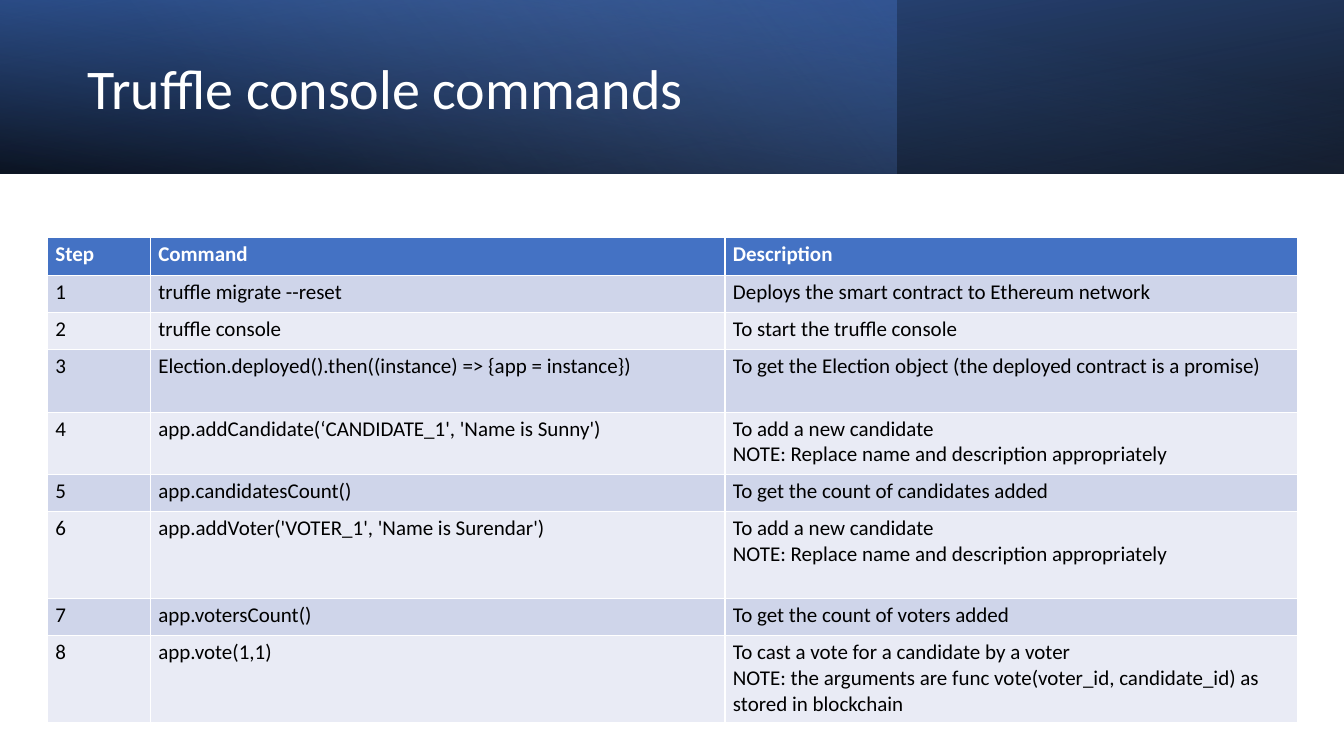
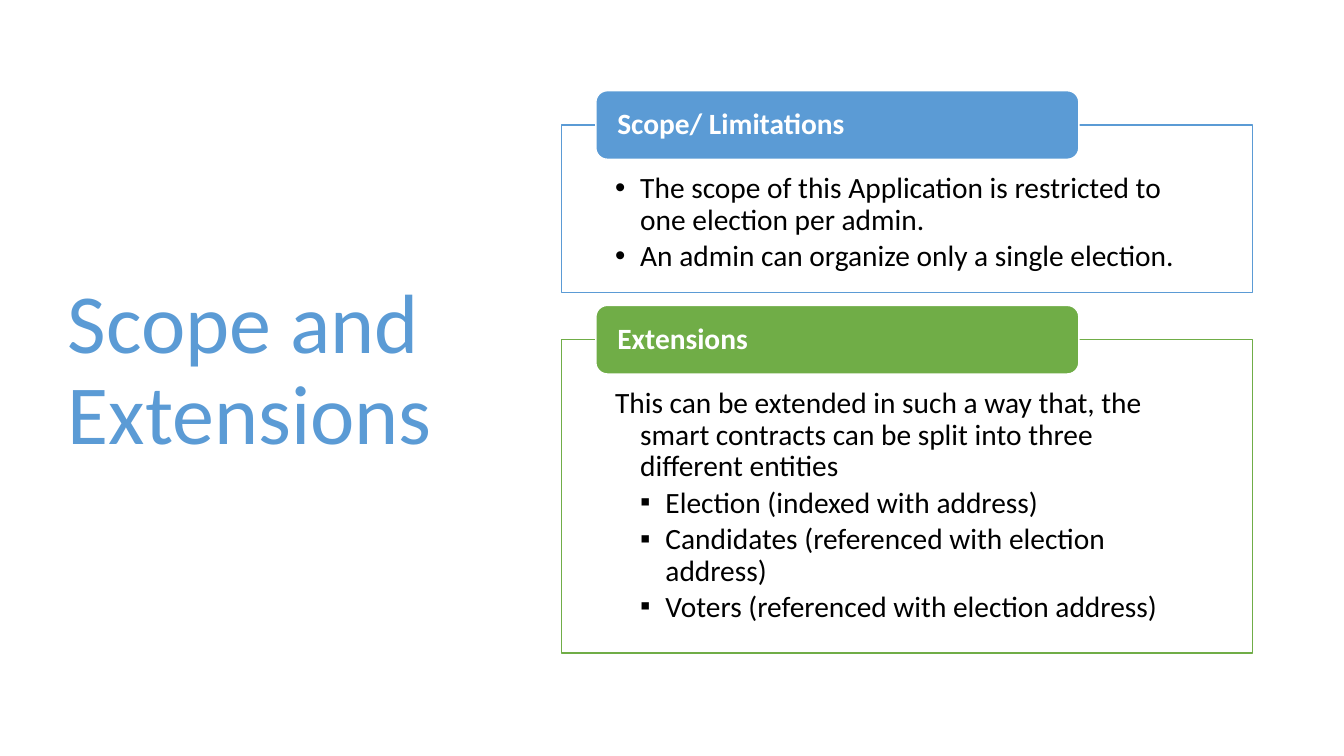
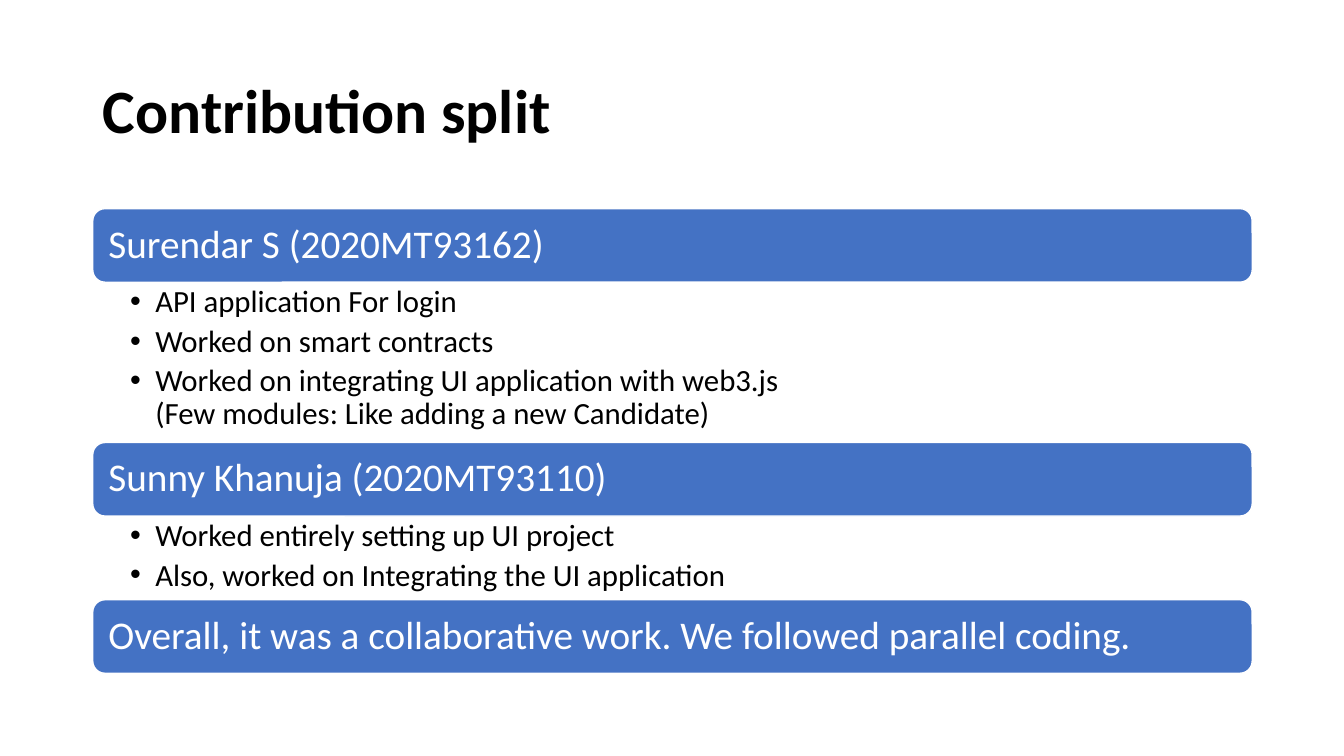
from pptx import Presentation
from pptx.dml.color import RGBColor
from pptx.enum.shapes import MSO_SHAPE
from pptx.enum.text import MSO_ANCHOR, MSO_AUTO_SIZE, PP_ALIGN
from pptx.oxml import parse_xml
from pptx.oxml.ns import nsdecls
from pptx.util import Inches, Pt

RECT = MSO_SHAPE.RECTANGLE
ROUND = MSO_SHAPE.ROUNDED_RECTANGLE
TOP = MSO_ANCHOR.TOP
MIDDLE = MSO_ANCHOR.MIDDLE
LEFT = PP_ALIGN.LEFT
FIXED = MSO_AUTO_SIZE.NONE

FONT = "Calibri"
WHITE = "FFFFFF"
BLACK = "000000"
BLUE = "4472C4"
SKY = "5B9BD5"
GREEN = "70AD47"
DOT = "•"
SQUARE = "▪"


def hue(code):
    return RGBColor.from_string(code)


def write(frame, text, size, color, bold=False, mark=None, level=0, after=0, pitch=0.9):
    para = frame.add_paragraph() if frame.text else frame.paragraphs[0]
    if level:
        props = para._p.get_or_add_pPr()
        props.set("marL", str(Inches(0.25 * level)))
        props.set("indent", str(Inches(-0.25)))
        if mark:
            props.append(parse_xml(f'<a:buFont {nsdecls("a")} typeface="Arial"/>'))
            props.append(parse_xml(f'<a:buChar {nsdecls("a")} char="{mark}"/>'))
        else:
            props.append(parse_xml(f'<a:buNone {nsdecls("a")}/>'))
    para.level = level
    para.alignment = LEFT
    para.line_spacing = pitch
    para.space_before = Pt(0)
    para.space_after = Pt(after)
    for i, line in enumerate(text.split("\n")):
        if i:
            para.add_line_break()
        run = para.add_run()
        run.text = line
        run.font.name = FONT
        run.font.size = Pt(size)
        run.font.bold = bold
        run.font.color.rgb = hue(color)


deck = Presentation()
deck.slide_width = Inches(13.33)
deck.slide_height = Inches(7.5)

heads = [
    (5, "Truffle console commands", (0.77, 0.27, 7.72, 1.27), 40, WHITE, False),
    (3, "Scope and Extensions", (0.57, 0.68, 4.16, 6.02), 60, SKY, False),
    (3, "Contribution split", (0.92, 0.4, 11.5, 1.45), 44, BLACK, True),
]
slides = []
for kind, text, box, size, color, bold in heads:
    slide = deck.slides.add_slide(deck.slide_layouts[kind])
    title = slide.shapes.title
    title.left, title.top, title.width, title.height = map(Inches, box)
    frame = title.text_frame
    frame.auto_size = FIXED
    frame.vertical_anchor = MIDDLE
    write(frame, text, size, color, bold)
    slides.append(slide)
steps, scope, split = slides

bands = [
    (13.33, 180, True, 100, [(0, BLACK, 96), (100, "2F5597", 100)]),
    (8.89, 0, False, 140, [(0, BLUE, 41), (74, "8FAADC", 0)]),
    (13.33, 0, True, 260, [(0, BLACK, 63), (78, BLUE, 15)]),
]
for i, (width, turn, flip, angle, stops) in enumerate(bands):
    band = steps.shapes.add_shape(RECT, 0, 0, Inches(width), Inches(1.72))
    band.shadow.inherit = False
    band.line.fill.background()
    band.fill.background()
    band.rotation = turn
    props = band._element.spPr
    if flip:
        props.xfrm.set("flipH", "1")
    marks = "".join(
        f'<a:gs pos="{at * 1000}"><a:srgbClr val="{color}">'
        f'<a:alpha val="{alpha * 1000}"/></a:srgbClr></a:gs>'
        for at, color, alpha in stops
    )
    blend = parse_xml(
        f'<a:gradFill {nsdecls("a")} rotWithShape="1"><a:gsLst>{marks}</a:gsLst>'
        f'<a:lin ang="{angle * 60000}" scaled="0"/></a:gradFill>'
    )
    props.replace(props.find("{*}noFill"), blend)
    steps.shapes._spTree.insert(2 + i, band._element)

note = "To add a new candidate\nNOTE: Replace name and description appropriately"
rows = [
    (0.37, "Command", "Description"),
    (0.37, "truffle migrate --reset", "Deploys the smart contract to Ethereum network"),
    (0.37, "truffle console", "To start the truffle console"),
    (0.62, "Election.deployed().then((instance) => {app = instance})",
     "To get the Election object (the deployed contract is a promise)"),
    (0.62, "app.addCandidate(‘CANDIDATE_1', 'Name is Sunny')", note),
    (0.37, "app.candidatesCount()", "To get the count of candidates added"),
    (0.86, "app.addVoter('VOTER_1', 'Name is Surendar')", note),
    (0.37, "app.votersCount()", "To get the count of voters added"),
    (0.86, "app.vote(1,1)",
     "To cast a vote for a candidate by a voter\n"
     "NOTE: the arguments are func vote(voter_id, candidate_id) as stored in blockchain"),
]
table = steps.shapes.add_table(
    len(rows), 3, Inches(0.47), Inches(2.36), Inches(12.4), Inches(4.81)
).table
for col, width in zip(table.columns, (1.02, 5.7, 5.68)):
    col.width = Inches(width)
for i, (height, *texts) in enumerate(rows):
    table.rows[i].height = Inches(height)
    shade = ("E9EBF5", "CFD5EA")[i % 2] if i else BLUE
    for j, text in enumerate([str(i) if i else "Step", *texts]):
        cell = table.cell(i, j)
        cell.margin_left = cell.margin_right = Inches(0.08)
        cell.margin_top = cell.margin_bottom = Inches(0.04)
        cell.fill.solid()
        cell.fill.fore_color.rgb = hue(shade)
        for line in text.split("\n"):
            write(cell.text_frame, line, 15, BLACK if i else WHITE, not i, pitch=1)

lists = [
    (scope, 1, (5.57, 1.24, 6.85, 1.66), (0.53, 0.48, 0.53, 0.16), SKY, 21, 0.15, [
        (DOT, 1, "The scope of this Application is restricted to one election per admin."),
        (DOT, 1, "An admin can organize only a single election."),
    ]),
    (scope, 2, (5.57, 3.37, 6.85, 3.11), (0.53, 0.48, 0.53, 0.16), GREEN, 21, 0.15, [
        (None, 1, "This can be extended in such a way that, the smart contracts "
                  "can be split into three different entities"),
        (SQUARE, 2, "Election (indexed with address)"),
        (SQUARE, 2, "Candidates (referenced with election address)"),
        (SQUARE, 2, "Voters (referenced with election address)"),
    ]),
    (split, 1, (0.92, 2.8, 11.5, 1.58), (0.37, 0.04, 0.22, 0.04), None, 22, 0.2, [
        (DOT, 1, "API application For login"),
        (DOT, 1, "Worked on smart contracts"),
        (DOT, 1, "Worked on integrating UI application with web3.js\n"
                 "(Few modules: Like adding a new Candidate)"),
    ]),
    (split, 2, (0.92, 5.12, 11.5, 0.82), (0.37, 0.04, 0.22, 0.04), None, 22, 0.2, [
        (DOT, 1, "Worked entirely setting up UI project"),
        (DOT, 1, "Also, worked on Integrating the UI application"),
    ]),
]
for slide, slot, box, pad, edge, size, gap, items in lists:
    body = slide.placeholders[slot]
    body.left, body.top, body.width, body.height = map(Inches, box)
    if edge:
        body.fill.solid()
        body.fill.fore_color.rgb = hue(WHITE)
        body.line.color.rgb = hue(edge)
        body.line.width = Pt(1)
    frame = body.text_frame
    frame.auto_size = FIXED
    frame.vertical_anchor = TOP
    frame.margin_left, frame.margin_top, frame.margin_right, frame.margin_bottom = map(Inches, pad)
    for mark, level, text in items:
        write(frame, text, size, BLACK, False, mark, level, size * gap)

pill = (5.91, 4.79, 0.68, 0.18, 0, 21, True)
bar = (0.92, 11.5, 0.73, 0.12, 0.12, 28, False)
tags = [
    (scope, pill, 0.9, SKY, "Scope/ Limitations"),
    (scope, pill, 3.03, GREEN, "Extensions"),
    (split, bar, 2.07, BLUE, "Surendar S (2020MT93162)"),
    (split, bar, 4.39, BLUE, "Sunny Khanuja (2020MT93110)"),
    (split, bar, 5.95, BLUE, "Overall, it was a collaborative work. We followed parallel coding."),
]
for slide, style, top, color, text in tags:
    left, width, height, side, pad, size, bold = style
    tag = slide.shapes.add_shape(ROUND, Inches(left), Inches(top), Inches(width), Inches(height))
    tag.shadow.inherit = False
    tag.fill.solid()
    tag.fill.fore_color.rgb = hue(color)
    tag.line.color.rgb = hue(WHITE)
    tag.line.width = Pt(1)
    frame = tag.text_frame
    frame.word_wrap = True
    frame.vertical_anchor = MIDDLE
    frame.margin_left = frame.margin_right = Inches(side)
    frame.margin_top = frame.margin_bottom = Inches(pad)
    write(frame, text, size, WHITE, bold)

deck.save("out.pptx")
